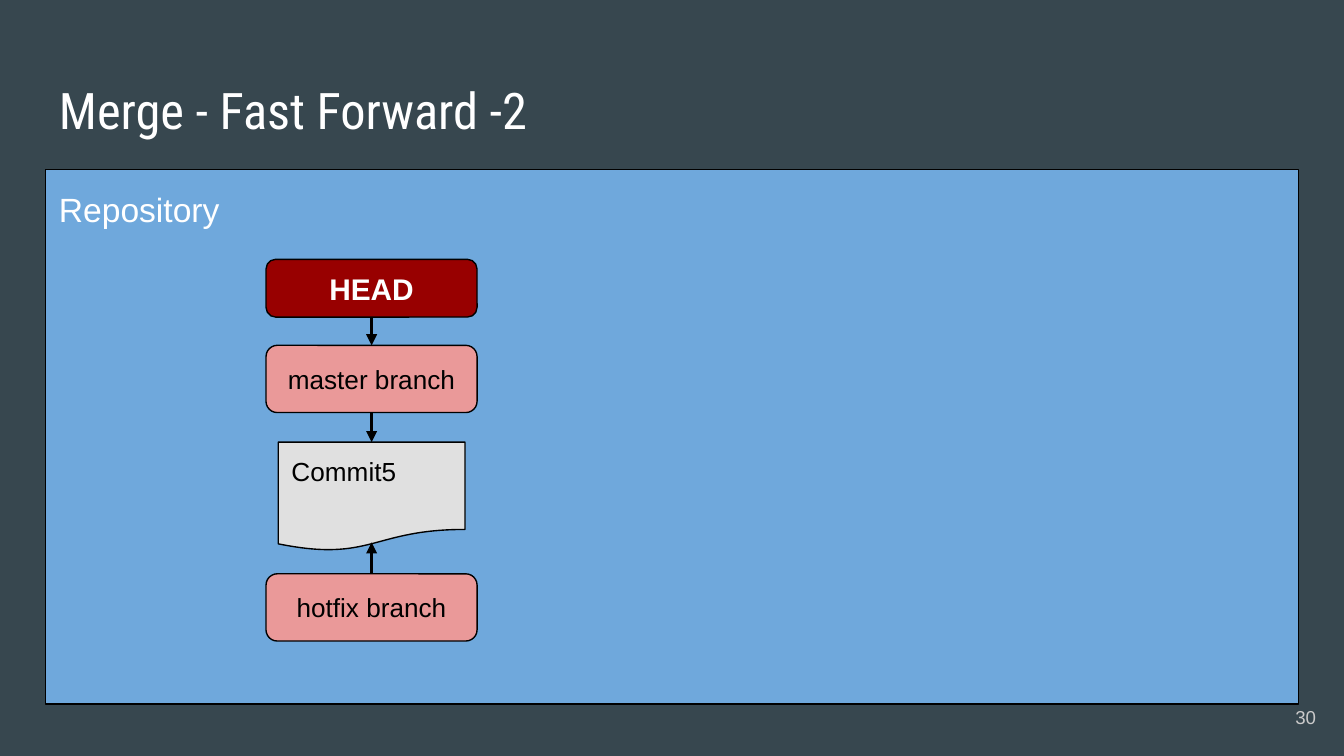
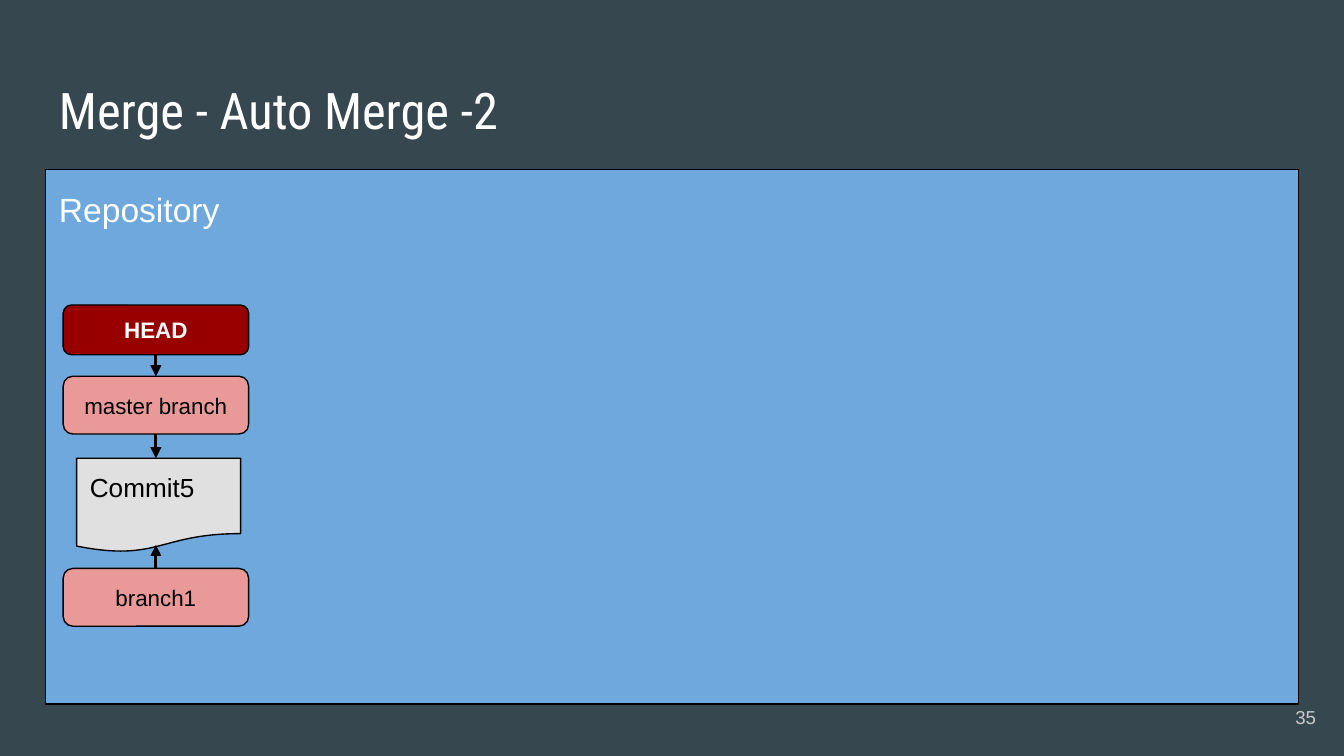
from dataclasses import dataclass

from lxml.etree import SubElement
from pptx import Presentation
from pptx.dml.color import RGBColor
from pptx.enum.shapes import MSO_CONNECTOR as Link, MSO_SHAPE as Shape
from pptx.enum.text import MSO_ANCHOR as Anchor, PP_ALIGN as Align
from pptx.oxml.ns import qn
from pptx.util import Inches, Pt

COLORS = {
    "background": "37474F",
    "repository": "6FA8DC",
    "head": "980000",
    "branch": "EA9999",
    "commit": "E0E0E0",
    "ink": "000000",
    "light": "FFFFFF",
    "number": "CACACA",
}
BODY_FONT = "Arial"
TITLE_FONT = "Roboto Condensed"
PAGE_WIDTH = 10
PAGE_HEIGHT = PAGE_WIDTH * 9 / 16
MARGIN = 0.34
CONTENT_WIDTH = PAGE_WIDTH - 2 * MARGIN
TOP, BOTTOM = 0, 2
WAVE = 0.92


@dataclass
class Stack:
    """Sizes of one column of refs around a commit."""

    left: float
    top: float
    width: float
    commit_inset: float
    commit_width: float
    heights: tuple
    gaps: tuple
    head_size: int
    branch_size: int


def color(name):
    """Return the named palette colour."""
    return RGBColor.from_string(COLORS[name])


def write(box, text, size, ink="ink", font=BODY_FONT, bold=False,
          align=Align.LEFT, anchor=Anchor.TOP):
    """Set one formatted paragraph in a box and return it."""
    frame = box.text_frame
    frame.text = text
    frame.word_wrap = True
    frame.vertical_anchor = anchor
    frame.margin_left = frame.margin_right = Inches(0.1)
    frame.margin_top = frame.margin_bottom = Inches(0.1)
    para = frame.paragraphs[0]
    para.alignment = align
    for span in para.runs:
        span.font.name = font
        span.font.size = Pt(size)
        span.font.bold = bold
        span.font.color.rgb = color(ink)
    return para


def add_block(page, kind, left, top, width, height, fill):
    """Add an outlined filled shape."""
    block = page.shapes.add_shape(
        kind, Inches(left), Inches(top), Inches(width), Inches(height))
    block.shadow.inherit = False
    block.fill.solid()
    block.fill.fore_color.rgb = color(fill)
    block.line.color.rgb = color("ink")
    block.line.width = Pt(0.75)
    return block


def add_arrow(page, x, start, end):
    """Add a vertical arrow between two heights."""
    arrow = page.shapes.add_connector(
        Link.STRAIGHT, Inches(x), Inches(start), Inches(x), Inches(end))
    arrow.line.color.rgb = color("ink")
    arrow.line.width = Pt(1.5)
    properties = arrow.element.spPr
    SubElement(properties.find(qn("a:ln")), qn("a:tailEnd"), type="triangle")
    SubElement(properties, qn("a:effectLst"))
    return arrow


def add_frame(deck, title, number):
    """Add a page with its title, repository panel and page number."""
    page = deck.slides.add_slide(deck.slide_layouts[6])
    page.background.fill.solid()
    page.background.fill.fore_color.rgb = color("background")

    panel = add_block(page, Shape.RECTANGLE, MARGIN, 1.26, CONTENT_WIDTH, 3.98, "repository")
    para = write(panel, "Repository", 18, "light")
    para.line_spacing = 1.15
    para.space_after = Pt(12)

    heading = page.shapes.add_textbox(
        Inches(MARGIN), Inches(0.49), Inches(CONTENT_WIDTH), Inches(0.63))
    write(heading, title, 27, "light", TITLE_FONT)

    footer = page.shapes.add_textbox(Inches(9.29), Inches(5.12), Inches(0.6), Inches(0.43))
    write(footer, str(number), 10, "number", align=Align.RIGHT, anchor=Anchor.MIDDLE)
    return page


def add_stack(page, stack, branch):
    """Add HEAD, master, the commit and a second branch with their arrows."""
    center = stack.left + stack.width / 2
    tops = [stack.top]
    for height, gap in zip(stack.heights, stack.gaps):
        tops.append(tops[-1] + height + gap)
    rows = list(zip(tops, stack.heights))

    def add_ref(row, text, fill, size, ink="ink", bold=False):
        """Add a rounded reference box in a row."""
        top, height = rows[row]
        box = add_block(page, Shape.ROUNDED_RECTANGLE, stack.left, top,
                        stack.width, height, fill)
        write(box, text, size, ink, bold=bold, align=Align.CENTER, anchor=Anchor.MIDDLE)
        return box

    head = add_ref(0, "HEAD", "head", stack.head_size, "light", True)
    master = add_ref(1, "master branch", "branch", stack.branch_size)
    top, height = rows[2]
    commit = add_block(page, Shape.FLOWCHART_DOCUMENT, stack.left + stack.commit_inset,
                       top, stack.commit_width, height, "commit")
    write(commit, "Commit5", 14)
    other = add_ref(3, branch, "branch", stack.branch_size)

    arrow = add_arrow(page, center, sum(rows[0]), tops[1])
    arrow.begin_connect(head, BOTTOM)
    arrow.end_connect(master, TOP)
    arrow = add_arrow(page, center, sum(rows[1]), top)
    arrow.begin_connect(master, BOTTOM)
    arrow = add_arrow(page, center, tops[3], top + WAVE * height)
    arrow.begin_connect(other, TOP)


def main():
    """Build and save the deck."""
    deck = Presentation()
    deck.slide_width, deck.slide_height = Inches(PAGE_WIDTH), Inches(PAGE_HEIGHT)
    large = Stack(1.98, 1.93, 1.57, 0.09, 1.39,
                  (0.43, 0.5, 0.81, 0.5), (0.21, 0.22, 0.17), 16, 14)
    small = Stack(0.47, 2.27, 1.38, 0.1, 1.22,
                  (0.37, 0.43, 0.7, 0.43), (0.16, 0.18, 0.12), 12, 12)
    pages = [
        ("Merge - Fast Forward -2", 30, large, "hotfix branch"),
        ("Merge - Auto Merge -2", 35, small, "branch1"),
    ]
    for title, number, stack, branch in pages:
        add_stack(add_frame(deck, title, number), stack, branch)
    deck.save("out.pptx")


if __name__ == "__main__":
    main()
